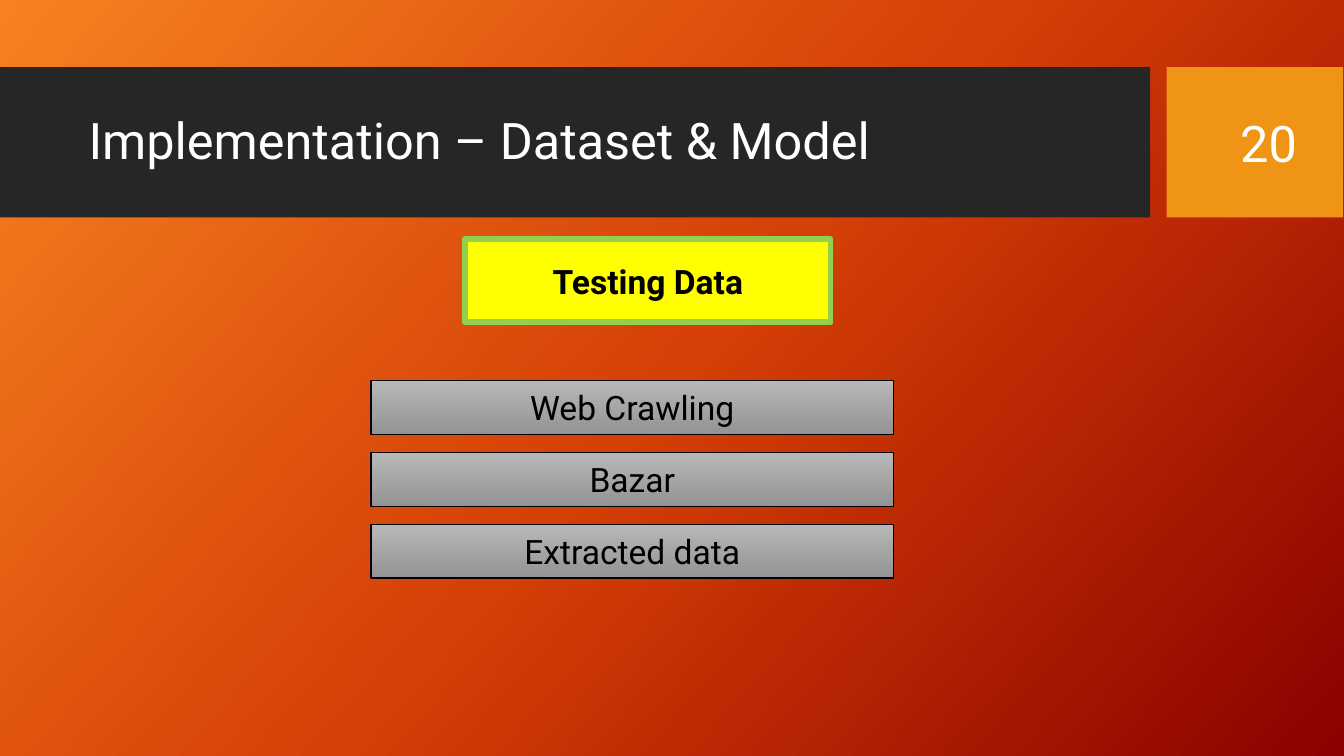
from copy import deepcopy
from dataclasses import dataclass

from pptx import Presentation
from pptx import util as u
from pptx.dml.color import RGBColor
from pptx.enum import shapes, text

# Content
HEADING = "Implementation – Dataset & Model"
PAGE_NUMBER = "20"
DATA_LABEL = "Testing Data"
STEPS = ["Web Crawling", "Bazar", "Extracted data"]


@dataclass(frozen=True)
class Theme:
    font: str = "Roboto"
    heading_size: float = 27
    body_size: float = 18
    light: str = "FFFFFF"
    dark: str = "000000"
    band: str = "262626"
    accent: str = "F09415"
    label_fill: str = "FFFF00"
    label_line: str = "92D050"
    step_fill: tuple = ((0, "B8B8B8"), (1, "949494"))
    backdrop: tuple = ((0, "F78121"), (0.5, "D54006"), (1, "8C0000"))


THEME = Theme()

# Layout in centimetres: left, top, width, height
BAND_TOP, BAND_HEIGHT = 1.27, 2.84
BAND = (0, BAND_TOP, 21.74, BAND_HEIGHT)
NUMBER_TILE = (22.05, BAND_TOP, 3.33, BAND_HEIGHT)
HEADING_BOX = (1.42, 1.57, 20.04, 2.26)
NUMBER_BOX = (22.35, 1.57, 2.41, 2.26)
LABEL_BOX = (8.79, 4.52, 6.91, 1.57)
STEP_LEFT, STEP_TOP, STEP_WIDTH, STEP_HEIGHT = 7.01, 7.19, 9.88, 1.02
STEP_PITCH = 1.36


def cm(box):
    return [u.Cm(length) for length in box]


def paint_gradient(fill, owner, stops, clockwise_angle):
    fill.gradient()
    fill.gradient_angle = 360 - clockwise_angle
    stop_list = owner.xpath(".//a:gsLst")[0]
    for _ in stops[2:]:
        stop_list.append(deepcopy(stop_list[-1]))
    for stop, (position, color) in zip(fill.gradient_stops, stops):
        stop.position = position
        stop.color.rgb = RGBColor.from_string(color)


def write(shape, wording, size, color, align, anchor, bold=False):
    frame = shape.text_frame
    frame.word_wrap = True
    frame.vertical_anchor = anchor
    frame.text = wording
    paragraph = frame.paragraphs[0]
    paragraph.alignment = align
    paragraph.font.name = THEME.font
    paragraph.font.size = u.Pt(size)
    paragraph.font.bold = bold
    paragraph.font.color.rgb = RGBColor.from_string(color)
    return paragraph


def add_box(slide, box, fill=None, line=None, line_width=0.75):
    shape = slide.shapes.add_shape(shapes.MSO_SHAPE.RECTANGLE, *cm(box))
    shape.shadow.inherit = False
    if fill:
        shape.fill.solid()
        shape.fill.fore_color.rgb = RGBColor.from_string(fill)
    if line:
        shape.line.color.rgb = RGBColor.from_string(line)
        shape.line.width = u.Pt(line_width)
    else:
        shape.line.fill.background()
    return shape


def main():
    prs = Presentation()
    prs.slide_width, prs.slide_height = u.Cm(25.4), u.Cm(14.29)
    slide = prs.slides.add_slide(prs.slide_layouts[5])
    center, middle = text.PP_ALIGN.CENTER, text.MSO_ANCHOR.MIDDLE

    # Background
    paint_gradient(slide.background.fill, slide.element, THEME.backdrop, 42)

    # Header band and number tile, placed behind the title
    heading = slide.shapes.title
    for box, color in ((BAND, THEME.band), (NUMBER_TILE, THEME.accent)):
        bar = add_box(slide, box, color)
        heading.element.addprevious(bar.element)

    # Title
    heading.left, heading.top, heading.width, heading.height = cm(HEADING_BOX)
    heading_line = write(heading, HEADING, THEME.heading_size, THEME.light,
                         text.PP_ALIGN.LEFT, middle)
    heading_line.line_spacing = 0.9

    # Page number
    number = slide.shapes.add_textbox(*cm(NUMBER_BOX))
    write(number, PAGE_NUMBER, THEME.heading_size, THEME.light,
          text.PP_ALIGN.RIGHT, middle)

    # Data label
    label = add_box(slide, LABEL_BOX, THEME.label_fill, THEME.label_line, 3)
    write(label, DATA_LABEL, THEME.body_size, THEME.dark, center, middle, bold=True)

    # Steps
    for row, wording in enumerate(STEPS):
        top = STEP_TOP + row * STEP_PITCH
        step = add_box(slide, (STEP_LEFT, top, STEP_WIDTH, STEP_HEIGHT),
                       line=THEME.dark)
        paint_gradient(step.fill, step.element, THEME.step_fill, 90)
        write(step, wording, THEME.body_size, THEME.dark, center,
              text.MSO_ANCHOR.TOP)

    prs.save("out.pptx")


if __name__ == "__main__":
    main()
